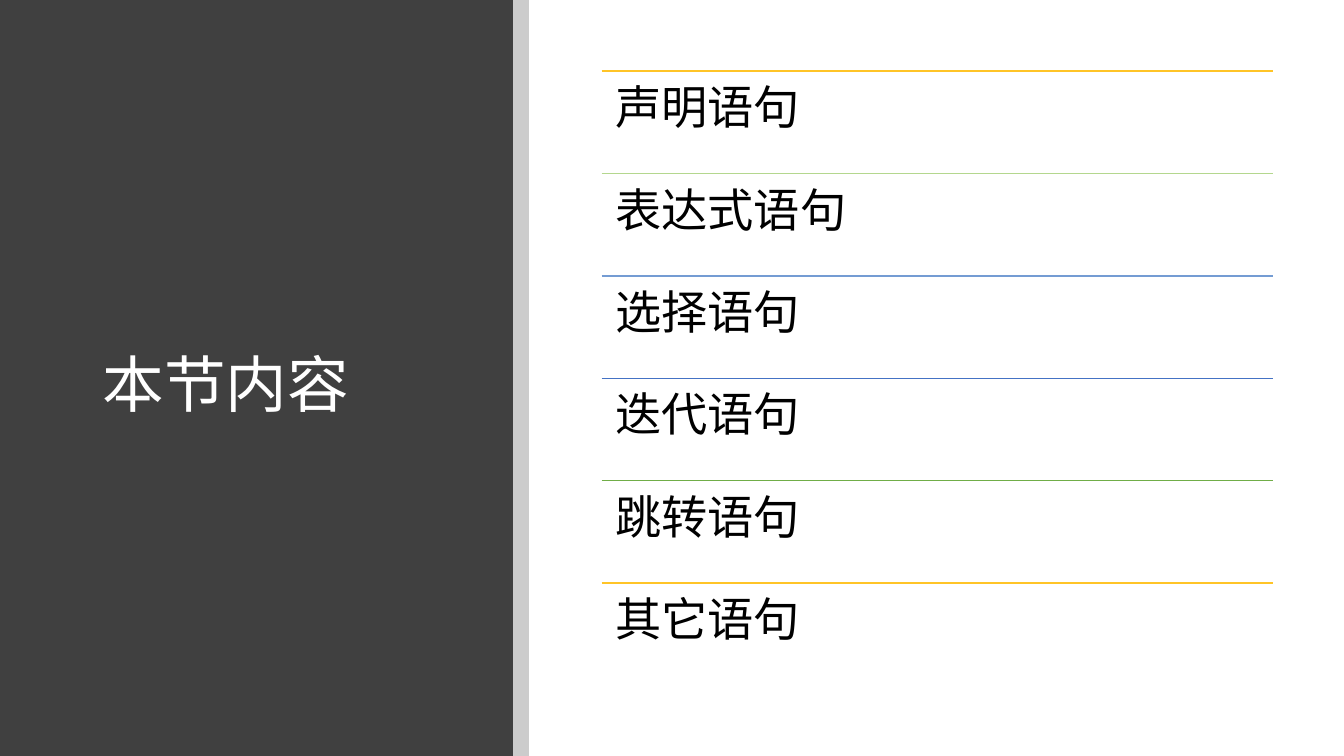
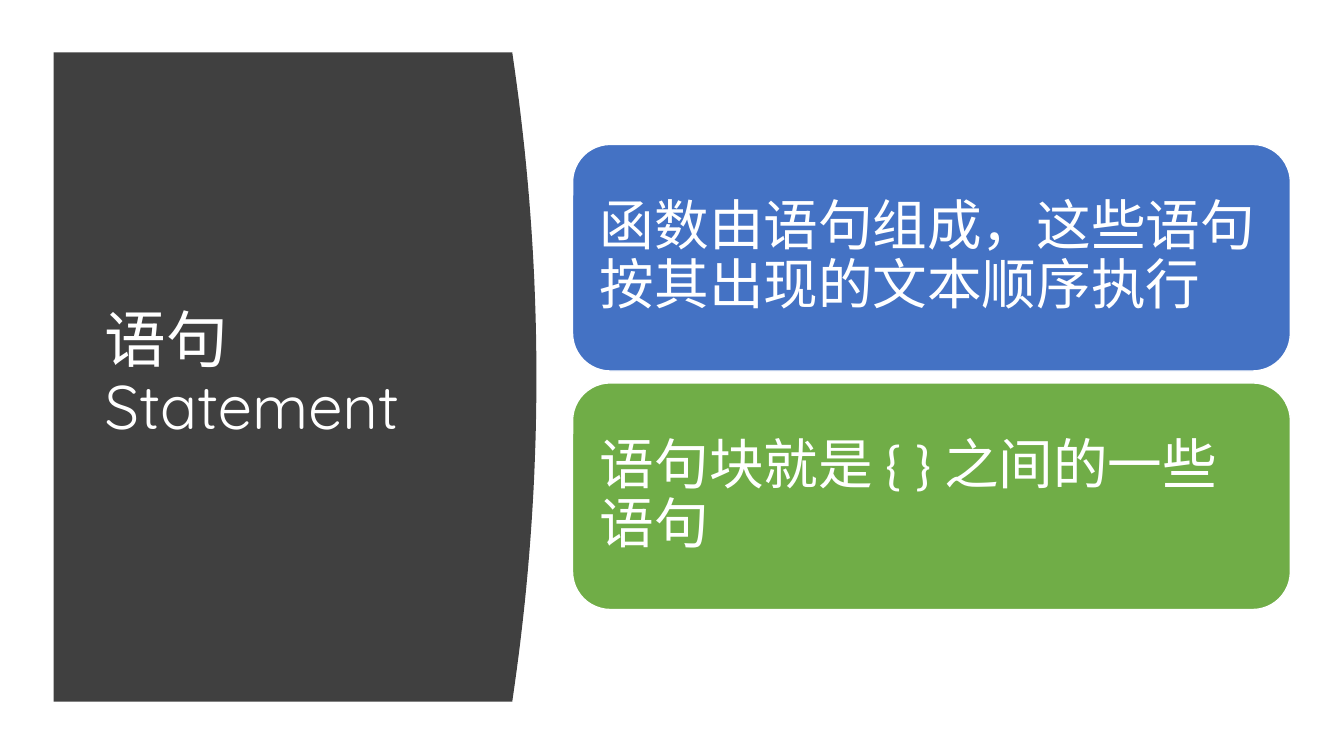
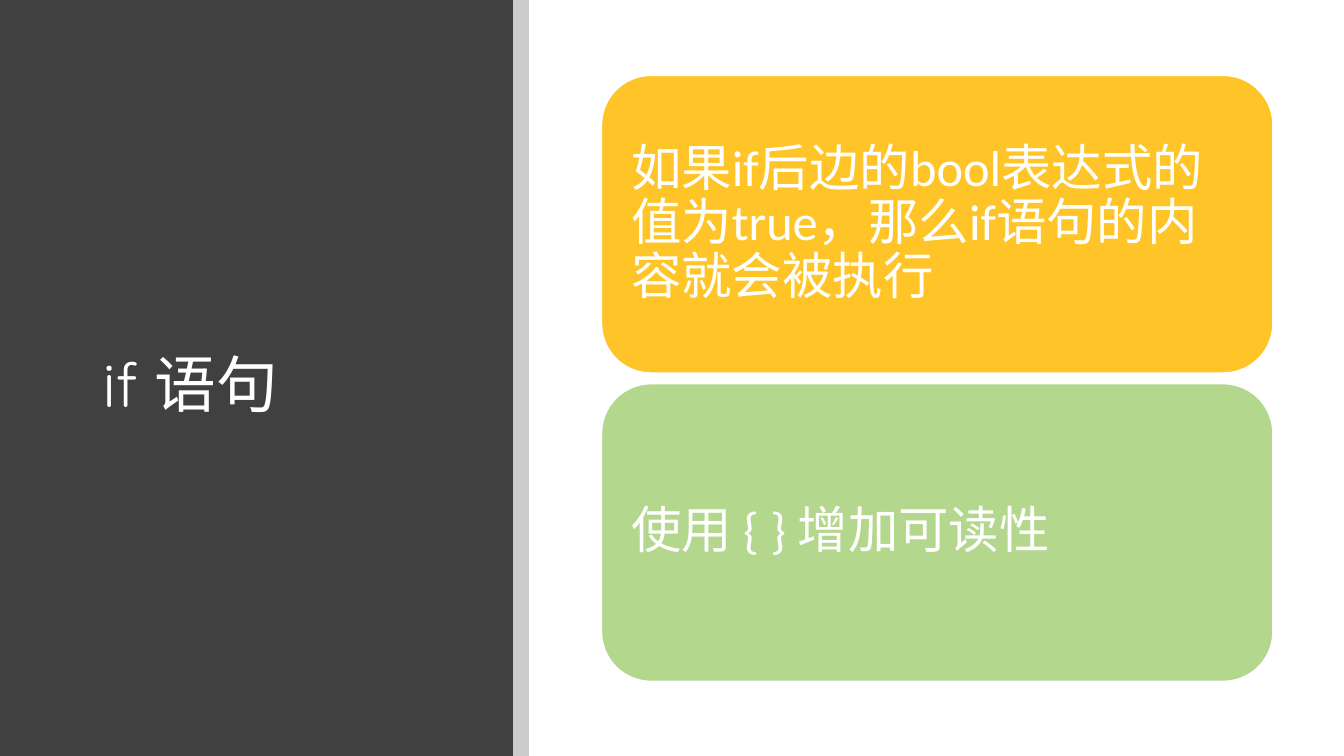
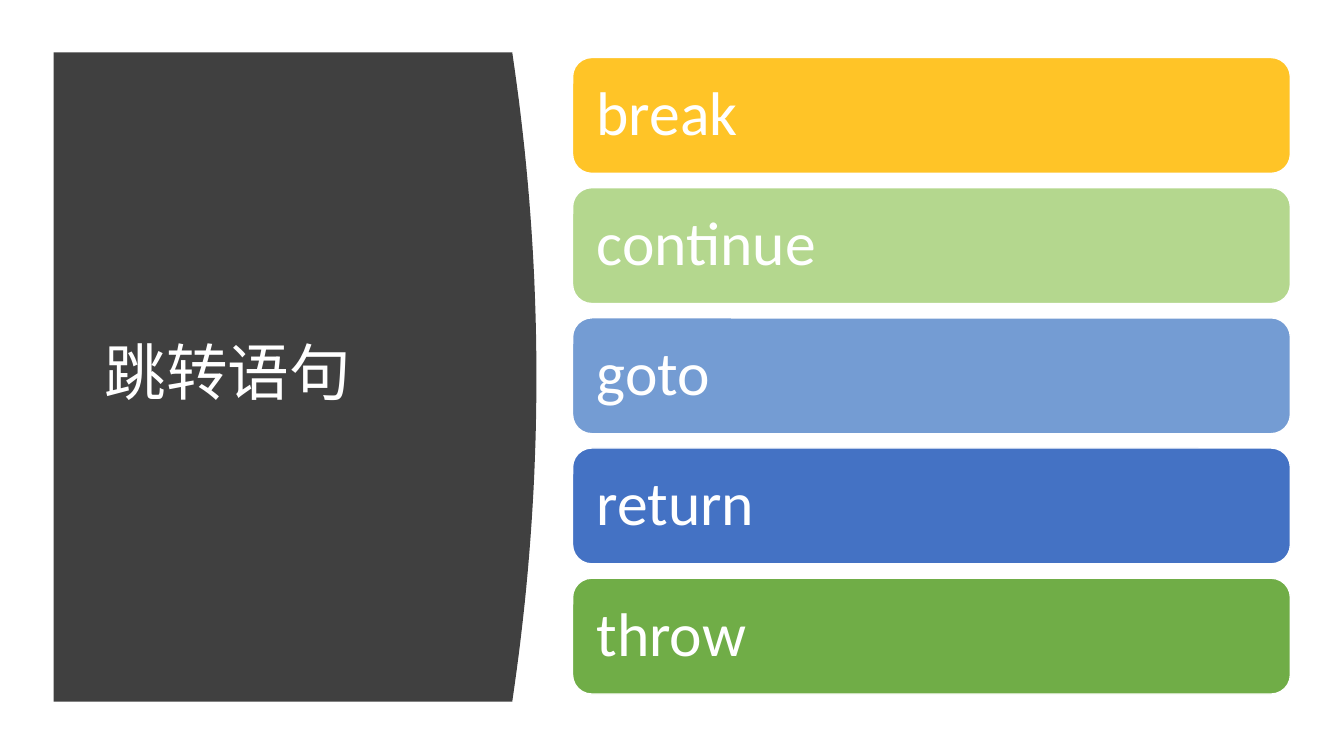
from dataclasses import dataclass
from itertools import cycle

from lxml import etree
from pptx import Presentation
from pptx.dml.color import RGBColor
from pptx.enum.shapes import MSO_CONNECTOR, MSO_SHAPE
from pptx.enum.text import MSO_ANCHOR, PP_ALIGN
from pptx.oxml.ns import qn
from pptx.shapes.autoshape import Shape
from pptx.slide import Slide
from pptx.text.text import TextFrame
from pptx.util import Cm, Pt

RECT = MSO_SHAPE.RECTANGLE
ROUND_RECT = MSO_SHAPE.ROUNDED_RECTANGLE
STRAIGHT = MSO_CONNECTOR.STRAIGHT
TOP = MSO_ANCHOR.TOP
MIDDLE = MSO_ANCHOR.MIDDLE
LEFT = PP_ALIGN.LEFT


@dataclass(frozen=True)
class Theme:
    width: float = 33.87
    height: float = 19.05
    white: str = "FFFFFF"
    black: str = "000000"
    panel: str = "404040"
    gold: str = "FFC427"
    lime: str = "B4D78E"
    sky: str = "749CD3"
    blue: str = "4472C4"
    green: str = "70AD47"
    title_font: str = "Quicksand"
    body_font: str = "Calibri"
    title_size: int = 44
    agenda_size: int = 33
    line_width: int = 1
    line_spacing: float = 0.9

    @property
    def accents(self) -> tuple[str, ...]:
        return self.gold, self.lime, self.sky, self.blue, self.green


@dataclass(frozen=True)
class Box:
    left: float
    top: float
    width: float
    height: float

    def lengths(self) -> tuple[Cm, Cm, Cm, Cm]:
        return Cm(self.left), Cm(self.top), Cm(self.width), Cm(self.height)

    def below(self, index: int, gap: float = 0) -> "Box":
        top = self.top + index * (self.height + gap)
        return Box(self.left, top, self.width, self.height)


@dataclass(frozen=True)
class CardStyle:
    first: Box
    gap: float
    size: int
    inset: float


@dataclass(frozen=True)
class Card:
    text: str
    color: str


THEME = Theme()
PANEL = Box(0, 0, 12.93, THEME.height)
STRIPE = Box(PANEL.width, 0, 0.4, THEME.height)
PANEL_TITLE = Box(2.34, 2.26, 9.27, 15.01)
CURVED_PANEL = Box(1.35, 1.32, 12.17, 16.36)
CURVED_TITLE = Box(2.39, 2.82, 9.5, 13.31)
BULGE = 0.61
CURVE_STEPS = 40
AGENDA_ROW = Box(15.16, 1.79, 16.92, 2.58)


def rgb(color: str) -> RGBColor:
    return RGBColor.from_string(color)


def write(tf: TextFrame, text: str, *, size: int, color: str, font: str = THEME.body_font,
          anchor: MSO_ANCHOR = MIDDLE, inset: float = 0.25) -> None:
    tf.word_wrap = True
    tf.vertical_anchor = anchor
    tf.margin_left = tf.margin_right = tf.margin_top = tf.margin_bottom = Cm(inset)
    p = tf.paragraphs[0]
    p.alignment = LEFT
    p.line_spacing = THEME.line_spacing
    r = p.add_run()
    r.text = text
    r.font.name = font
    r.font.size = Pt(size)
    r.font.color.rgb = rgb(color)


def paint(sp: Shape, fill: str, line: str | None = None, alpha: int = 100) -> None:
    sp.shadow.inherit = False
    sp.fill.solid()
    sp.fill.fore_color.rgb = rgb(fill)
    if alpha < 100:
        clr = sp._element.spPr.find(qn("a:solidFill"))[0]
        etree.SubElement(clr, qn("a:alpha"), val=str(alpha * 1000))
    if line:
        sp.line.color.rgb = rgb(line)
        sp.line.width = Pt(THEME.line_width)
    else:
        sp.line.fill.background()


def add_title(s: Slide, box: Box, text: str) -> None:
    sp = s.shapes.add_textbox(*box.lengths())
    write(sp.text_frame, text, size=THEME.title_size, color=THEME.white, font=THEME.title_font)


def add_panel(s: Slide, title: str) -> None:
    paint(s.shapes.add_shape(RECT, *PANEL.lengths()), THEME.panel)
    add_title(s, PANEL_TITLE, title)
    paint(s.shapes.add_shape(RECT, *STRIPE.lengths()), THEME.black, alpha=20)


def add_curved_panel(s: Slide, title: str) -> None:
    box = CURVED_PANEL
    right, bottom = box.left + box.width, box.top + box.height
    edge = []
    for step in range(CURVE_STEPS + 1):
        t = step / CURVE_STEPS
        x = right - BULGE * (2 * t - 1) ** 2
        edge.append((Cm(x), Cm(box.top + t * box.height)))
    fb = s.shapes.build_freeform(Cm(box.left), Cm(box.top))
    fb.add_line_segments([*edge, (Cm(box.left), Cm(bottom))], close=True)
    paint(fb.convert_to_shape(), THEME.panel)
    add_title(s, CURVED_TITLE, title)


def add_rule(s: Slide, box: Box, color: str) -> None:
    y = Cm(box.top)
    cxn = s.shapes.add_connector(STRAIGHT, Cm(box.left), y, Cm(box.left + box.width), y)
    cxn.line.color.rgb = rgb(color)
    cxn.line.width = Pt(THEME.line_width)
    etree.SubElement(cxn._element.spPr, qn("a:effectLst"))


def add_agenda(s: Slide, items: list[str]) -> None:
    for i, (text, color) in enumerate(zip(items, cycle(THEME.accents))):
        box = AGENDA_ROW.below(i)
        add_rule(s, box, color)
        sp = s.shapes.add_textbox(*box.lengths())
        write(sp.text_frame, text, size=THEME.agenda_size, color=THEME.black,
              anchor=TOP, inset=0.35)


def add_cards(s: Slide, style: CardStyle, cards: list[Card]) -> None:
    for i, card in enumerate(cards):
        box = style.first.below(i, style.gap)
        sp = s.shapes.add_shape(ROUND_RECT, *box.lengths())
        paint(sp, card.color, line=THEME.white)
        write(sp.text_frame, card.text, size=style.size, color=THEME.white, inset=style.inset)


def main() -> None:
    prs = Presentation()
    prs.slide_width, prs.slide_height = Cm(THEME.width), Cm(THEME.height)
    blank = prs.slide_layouts[6]

    s = prs.slides.add_slide(blank)
    add_panel(s, "本节内容")
    add_agenda(s, ["声明语句", "表达式语句", "选择语句", "迭代语句", "跳转语句", "其它语句"])

    s = prs.slides.add_slide(blank)
    add_curved_panel(s, "语句 Statement")
    add_cards(s, CardStyle(Box(14.43, 3.64, 18.09, 5.71), gap=0.3, size=39, inset=0.41), [
        Card("函数由语句组成，这些语句按其出现的文本顺序执行", THEME.blue),
        Card("语句块就是 { } 之间的一些语句", THEME.green),
    ])

    s = prs.slides.add_slide(blank)
    add_panel(s, "if 语句")
    add_cards(s, CardStyle(Box(15.16, 1.9, 16.92, 7.5), gap=0.27, size=36, inset=0.38), [
        Card("如果if后边的bool表达式的值为true，那么if语句的内容就会被执行", THEME.gold),
        Card("使用 { } 增加可读性", THEME.lime),
    ])

    s = prs.slides.add_slide(blank)
    add_curved_panel(s, "跳转语句")
    keywords = ["break", "continue", "goto", "return", "throw"]
    add_cards(s, CardStyle(Box(14.43, 1.45, 18.09, 2.92), gap=0.36, size=44, inset=0.46),
              [Card(word, color) for word, color in zip(keywords, THEME.accents)])

    prs.save("out.pptx")


if __name__ == "__main__":
    main()
